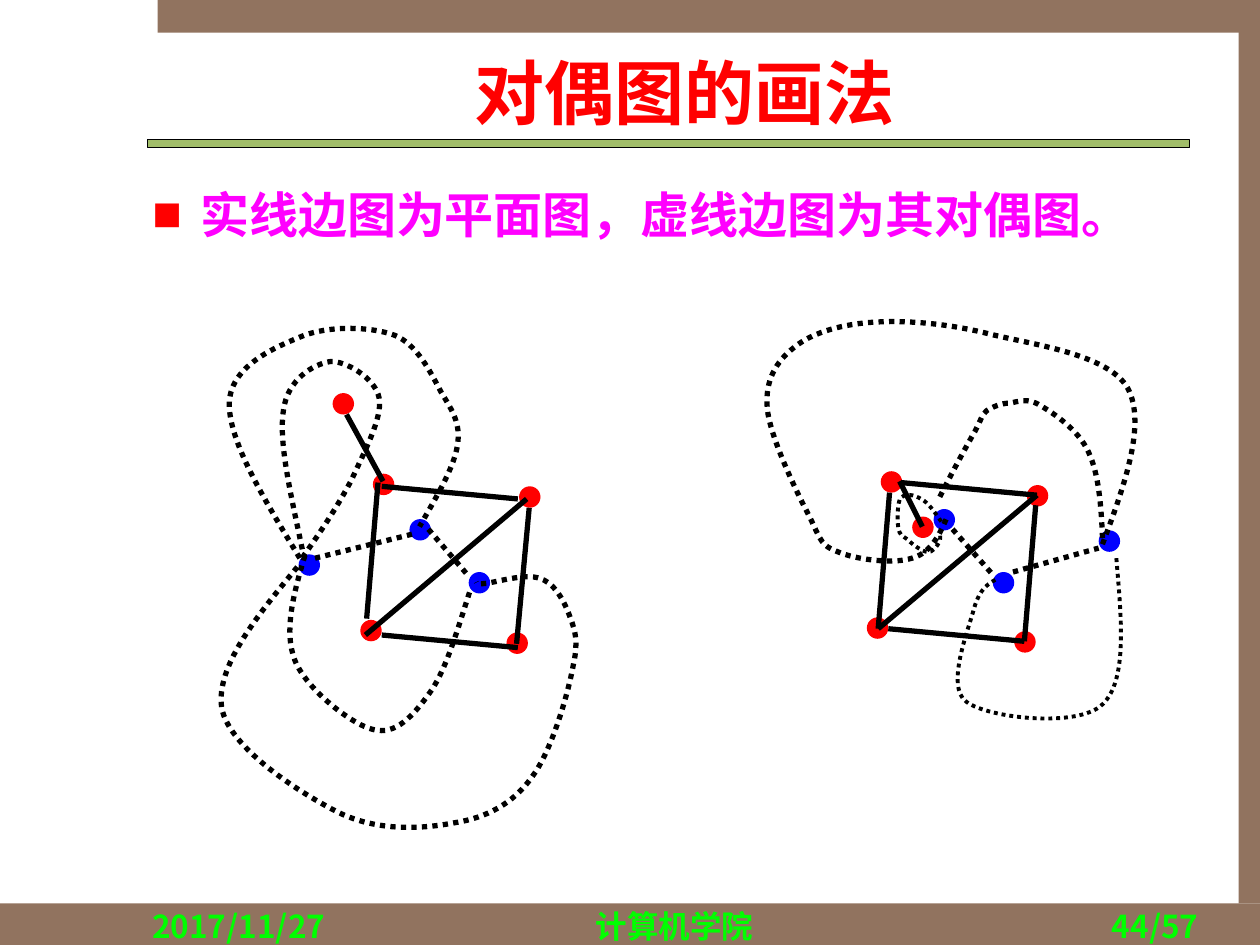
import dataclasses
import itertools

import lxml.etree
import pptx
import pptx.dml.color
import pptx.enum.dml
import pptx.enum.shapes
import pptx.enum.text
import pptx.oxml.ns
import pptx.util

Inches = pptx.util.Inches
Pt = pptx.util.Pt
qn = pptx.oxml.ns.qn
ALIGN = pptx.enum.text.PP_ALIGN
SHAPE = pptx.enum.shapes.MSO_SHAPE
Point = tuple[float, float]
Segment = tuple[Point, Point]

COLORS = {
    "frame": "91735F", "rule": "A1BD69", "black": "000000", "red": "FF0000",
    "blue": "0000FF", "green": "00FF00", "magenta": "FF00FF",
}
CJK = "Noto Sans CJK SC"
LATIN = "Times New Roman"
DOT = 0.17


@dataclasses.dataclass
class Curve:
    points: list[Point]
    width: float = 3


@dataclasses.dataclass
class Graph:
    vertices: list[Point]
    edges: list[Segment]
    dual_vertices: list[Point]
    dual_edges: list[Segment]
    dual_curves: list[Curve]


@dataclasses.dataclass
class FooterItem:
    text: str
    left: float
    width: float
    align: pptx.enum.text.PP_ALIGN


FRAME = [(0, 7.17, 10, 0.33), (1.25, 0, 8.75, 0.26), (9.83, 0.25, 0.17, 6.92)]
FOOTER = [
    FooterItem("2017/11/27", 1.11, 2.08, ALIGN.LEFT),
    FooterItem("计算机学院", 3.19, 4.33, ALIGN.CENTER),
    FooterItem("44/57", 7.53, 2.08, ALIGN.RIGHT),
]

LEFT_GRAPH = Graph(
    vertices=[(2.64, 3.12), (2.96, 3.76), (4.12, 3.86), (4.02, 5.02), (2.86, 4.92)],
    edges=[
        ((2.75, 3.29), (3.04, 3.82)), ((3.03, 3.86), (4.11, 3.96)),
        ((4.2, 4.03), (4.1, 5.11)), ((3, 3.83), (2.91, 4.91)),
        ((3.03, 5.04), (4.11, 5.14)), ((4.18, 3.96), (2.9, 5.04)),
    ],
    dual_vertices=[(3.25, 4.12), (3.72, 4.54), (2.37, 4.4)],
    dual_edges=[((2.5, 4.43), (3.27, 4.24)), ((3.4, 4.2), (3.7, 4.55))],
    dual_curves=[
        Curve([(2.38, 4.43), (2.1, 3.97), (1.82, 3.51), (1.82, 3.21),
               (1.82, 2.92), (2.15, 2.77), (2.37, 2.68),
               (2.59, 2.58), (2.94, 2.59), (3.13, 2.66),
               (3.31, 2.73), (3.42, 2.96), (3.5, 3.11),
               (3.59, 3.26), (3.66, 3.36), (3.63, 3.54),
               (3.6, 3.72), (3.46, 3.95), (3.33, 4.18)]),
        Curve([(2.4, 4.36), (2.31, 3.93), (2.21, 3.51), (2.25, 3.26),
               (2.28, 3.01), (2.49, 2.89), (2.62, 2.87),
               (2.74, 2.86), (2.98, 3), (3.01, 3.16),
               (3.04, 3.31), (2.89, 3.59), (2.79, 3.81),
               (2.68, 4.02), (2.54, 4.23), (2.39, 4.44)]),
        Curve([(2.42, 4.41), (2.33, 4.71), (2.25, 5.01), (2.34, 5.24),
               (2.43, 5.47), (2.79, 5.75), (2.96, 5.79),
               (3.14, 5.84), (3.28, 5.68), (3.41, 5.5),
               (3.54, 5.32), (3.63, 5), (3.73, 4.69)]),
        Curve([(2.36, 4.5), (2.04, 4.89), (1.71, 5.29), (1.76, 5.62),
               (1.82, 5.94), (2.39, 6.3), (2.69, 6.45),
               (3, 6.6), (3.35, 6.58), (3.61, 6.53),
               (3.86, 6.49), (4.07, 6.38), (4.22, 6.17),
               (4.38, 5.96), (4.51, 5.5), (4.55, 5.28),
               (4.6, 5.06), (4.55, 4.97), (4.51, 4.86),
               (4.46, 4.74), (4.39, 4.62), (4.28, 4.59),
               (4.17, 4.55), (3.94, 4.62), (3.86, 4.63),
               (3.77, 4.64), (3.78, 4.63), (3.78, 4.62)]),
    ],
)
RIGHT_GRAPH = Graph(
    vertices=[(7.24, 4.1), (6.99, 3.74), (8.15, 3.85), (8.05, 5.01), (6.88, 4.9)],
    edges=[
        ((7.14, 3.82), (7.32, 4.18)), ((7.15, 3.83), (8.23, 3.93)),
        ((8.22, 4.01), (8.13, 5.09)), ((7.06, 3.91), (6.97, 4.99)),
        ((7.05, 4.99), (8.13, 5.09)), ((8.23, 3.93), (6.97, 4.99)),
    ],
    dual_vertices=[(7.41, 4.04), (7.88, 4.54), (8.72, 4.21)],
    dual_edges=[((7.56, 4.2), (7.87, 4.55)), ((8.04, 4.54), (8.72, 4.35))],
    dual_curves=[
        Curve([(8.75, 4.27), (8.74, 4.01), (8.72, 3.76), (8.64, 3.59),
               (8.56, 3.41), (8.36, 3.28), (8.26, 3.22),
               (8.15, 3.15), (8.08, 3.19), (8.01, 3.2),
               (7.94, 3.2), (7.88, 3.23), (7.83, 3.26),
               (7.79, 3.3), (7.8, 3.3), (7.74, 3.42),
               (7.67, 3.54), (7.55, 3.76), (7.44, 3.98)]),
        Curve([(8.86, 4.43), (8.9, 4.91), (8.95, 5.4), (8.75, 5.59),
               (8.56, 5.78), (7.84, 5.7), (7.67, 5.57),
               (7.5, 5.45), (7.69, 4.99), (7.73, 4.83),
               (7.78, 4.66), (7.85, 4.63), (7.92, 4.59)], 2.25),
        Curve([(8.75, 4.32), (8.93, 3.84), (9.1, 3.36), (8.95, 3.08),
               (8.79, 2.8), (8.15, 2.73), (7.81, 2.64),
               (7.47, 2.56), (7.15, 2.54), (6.9, 2.56),
               (6.65, 2.58), (6.43, 2.65), (6.3, 2.76),
               (6.16, 2.87), (6.07, 3.02), (6.09, 3.24),
               (6.11, 3.47), (6.33, 3.92), (6.43, 4.11),
               (6.52, 4.3), (6.52, 4.33), (6.65, 4.38),
               (6.79, 4.44), (7.09, 4.48), (7.24, 4.43),
               (7.38, 4.39), (7.45, 4.26), (7.51, 4.12)]),
        Curve([(7.47, 4.14), (7.42, 4.07), (7.37, 3.99), (7.31, 3.96),
               (7.26, 3.93), (7.18, 3.91), (7.15, 3.95),
               (7.12, 3.98), (7.12, 4.14), (7.13, 4.19),
               (7.14, 4.25), (7.16, 4.25), (7.2, 4.28),
               (7.24, 4.32), (7.32, 4.38), (7.36, 4.38),
               (7.4, 4.39), (7.44, 4.33), (7.45, 4.31),
               (7.47, 4.28), (7.46, 4.25), (7.46, 4.22)], 2.25),
    ],
)


def rgb(name: str) -> pptx.dml.color.RGBColor:
    return pptx.dml.color.RGBColor.from_string(COLORS[name])


def place(sp, left: float, top: float, width: float, height: float) -> None:
    sp.left, sp.top = Inches(left), Inches(top)
    sp.width, sp.height = Inches(width), Inches(height)


def add_text(p, text: str, size: float, font: str, color: str) -> None:
    r = p.add_run()
    r.text = text
    r.font.size, r.font.bold, r.font.name = Pt(size), True, font
    r.font.color.rgb = rgb(color)
    lxml.etree.SubElement(r.font._element, qn("a:ea"), typeface=CJK)


def add_filled(s, kind, box: tuple, color: str):
    sp = s.shapes.add_shape(kind, *(Inches(v) for v in box))
    sp.shadow.inherit = False
    sp.fill.solid()
    sp.fill.fore_color.rgb = rgb(color)
    sp.line.fill.background()
    return sp


def style_line(line, width: float, dotted: bool) -> None:
    line.color.rgb = rgb("black")
    line.width = Pt(width)
    if dotted:
        line.dash_style = pptx.enum.dml.MSO_LINE.ROUND_DOT


def add_edge(s, segment: Segment, dotted: bool) -> None:
    ends = [Inches(v) for v in itertools.chain(*segment)]
    cxn = s.shapes.add_connector(pptx.enum.shapes.MSO_CONNECTOR.STRAIGHT, *ends)
    style_line(cxn.line, 3, dotted)
    lxml.etree.SubElement(cxn.element.spPr, qn("a:effectLst"))


def add_curve(s, curve: Curve) -> None:
    start, *rest = [(Inches(x), Inches(y)) for x, y in curve.points]
    builder = s.shapes.build_freeform(*start)
    builder.add_line_segments(rest, close=False)
    sp = builder.convert_to_shape()
    outline = sp.element.xpath(".//a:path")[0]
    lines = outline.findall(qn("a:lnTo"))
    for i in range(0, len(lines), 3):
        bezier = lxml.etree.SubElement(outline, qn("a:cubicBezTo"))
        for line in lines[i:i + 3]:
            bezier.append(line[0])
            outline.remove(line)
    sp.shadow.inherit = False
    sp.fill.background()
    style_line(sp.line, curve.width, True)


def add_graph(s, graph: Graph) -> None:
    layers = [(graph.vertices, "red", graph.edges, False),
              (graph.dual_vertices, "blue", graph.dual_edges, True)]
    for vertices, color, edges, dotted in layers:
        for vertex in vertices:
            add_filled(s, SHAPE.OVAL, (*vertex, DOT, DOT), color)
        for edge in edges:
            add_edge(s, edge, dotted)
    for curve in graph.dual_curves:
        add_curve(s, curve)


def add_footer(s, item: FooterItem) -> None:
    sp = s.shapes.add_textbox(Inches(item.left), Inches(7.15), Inches(item.width), Inches(0.18))
    sp.text_frame.word_wrap = True
    p = sp.text_frame.paragraphs[0]
    p.alignment = item.align
    add_text(p, item.text, 18, CJK, "green")


def fill_title(s) -> None:
    sp = s.shapes.title
    place(sp, 1.42, 0.33, 8.02, 0.79)
    tf = sp.text_frame
    tf.vertical_anchor = pptx.enum.text.MSO_ANCHOR.MIDDLE
    p = tf.paragraphs[0]
    p.alignment = ALIGN.CENTER
    add_text(p, "对偶图的画法", 40, LATIN, "red")


def fill_body(s) -> None:
    sp = s.placeholders[1]
    place(sp, 1.17, 1.33, 8.17, 0.64)
    tf = sp.text_frame
    tf.auto_size = pptx.enum.text.MSO_AUTO_SIZE.SHAPE_TO_FIT_TEXT
    tf.margin_left = tf.margin_right = tf.margin_top = tf.margin_bottom = Inches(0.04)
    p = tf.paragraphs[0]
    p.alignment = ALIGN.JUSTIFY
    p.line_spacing, p.space_before = 1.2, Pt(0)
    pPr = p._p.get_or_add_pPr()
    pPr.set("marL", str(Inches(0.38)))
    pPr.set("indent", str(Inches(-0.38)))
    bullet_color = lxml.etree.SubElement(pPr, qn("a:buClr"))
    lxml.etree.SubElement(bullet_color, qn("a:srgbClr"), val=COLORS["red"])
    lxml.etree.SubElement(pPr, qn("a:buChar"), char="■")
    add_text(p, "实线边图为平面图，虚线边图为其对偶图。", 28, LATIN, "magenta")


def main() -> None:
    prs = pptx.Presentation()
    prs.slide_width, prs.slide_height = Inches(10), Inches(7.5)
    s = prs.slides.add_slide(prs.slide_layouts[1])
    for box in FRAME:
        add_filled(s, SHAPE.RECTANGLE, box, "frame")
    rule = add_filled(s, SHAPE.RECTANGLE, (1.17, 1.11, 8.27, 0.06), "rule")
    style_line(rule.line, 0.75, False)
    for item in FOOTER:
        add_footer(s, item)
    fill_title(s)
    for graph in (LEFT_GRAPH, RIGHT_GRAPH):
        add_graph(s, graph)
    fill_body(s)
    prs.save("out.pptx")


if __name__ == "__main__":
    main()
